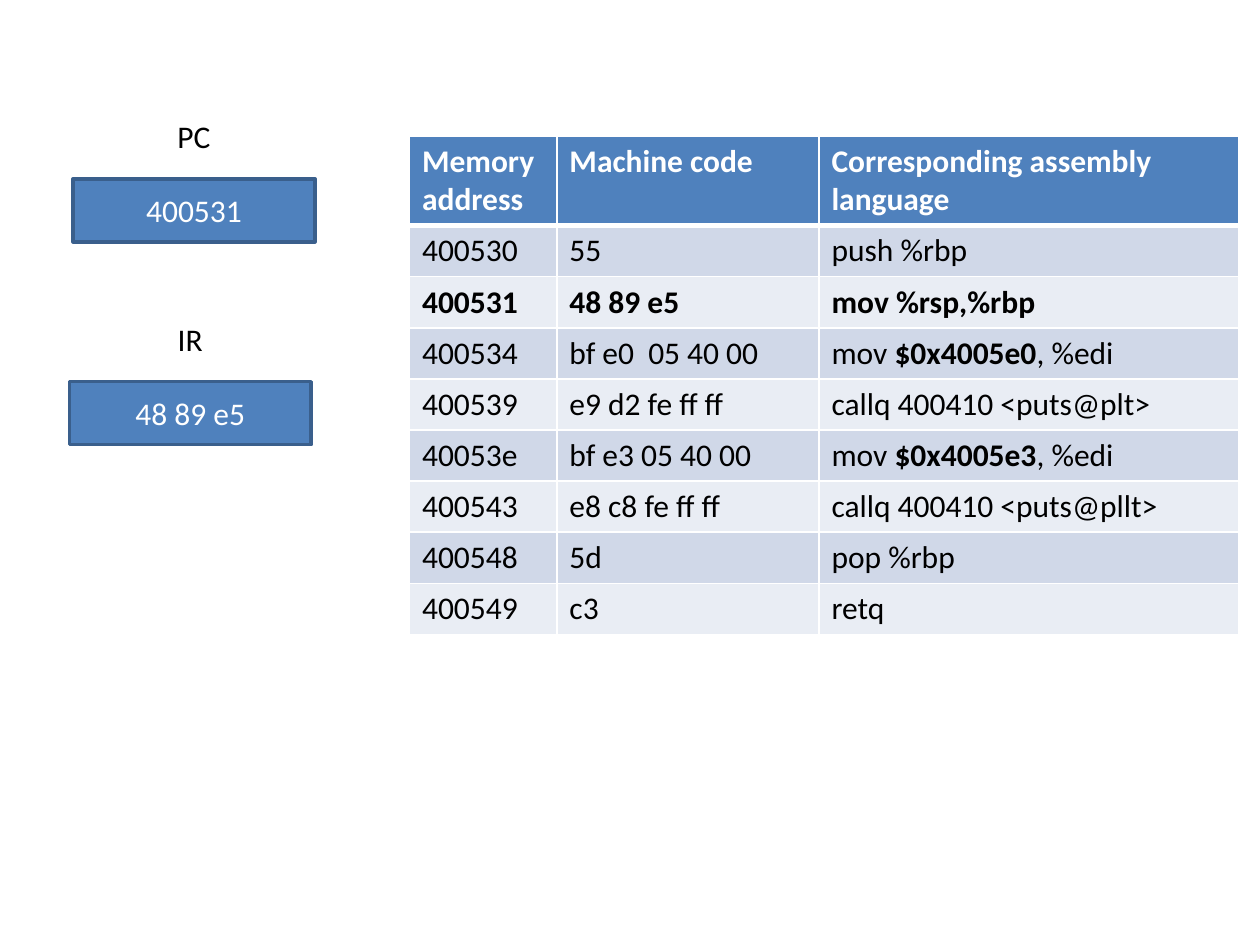
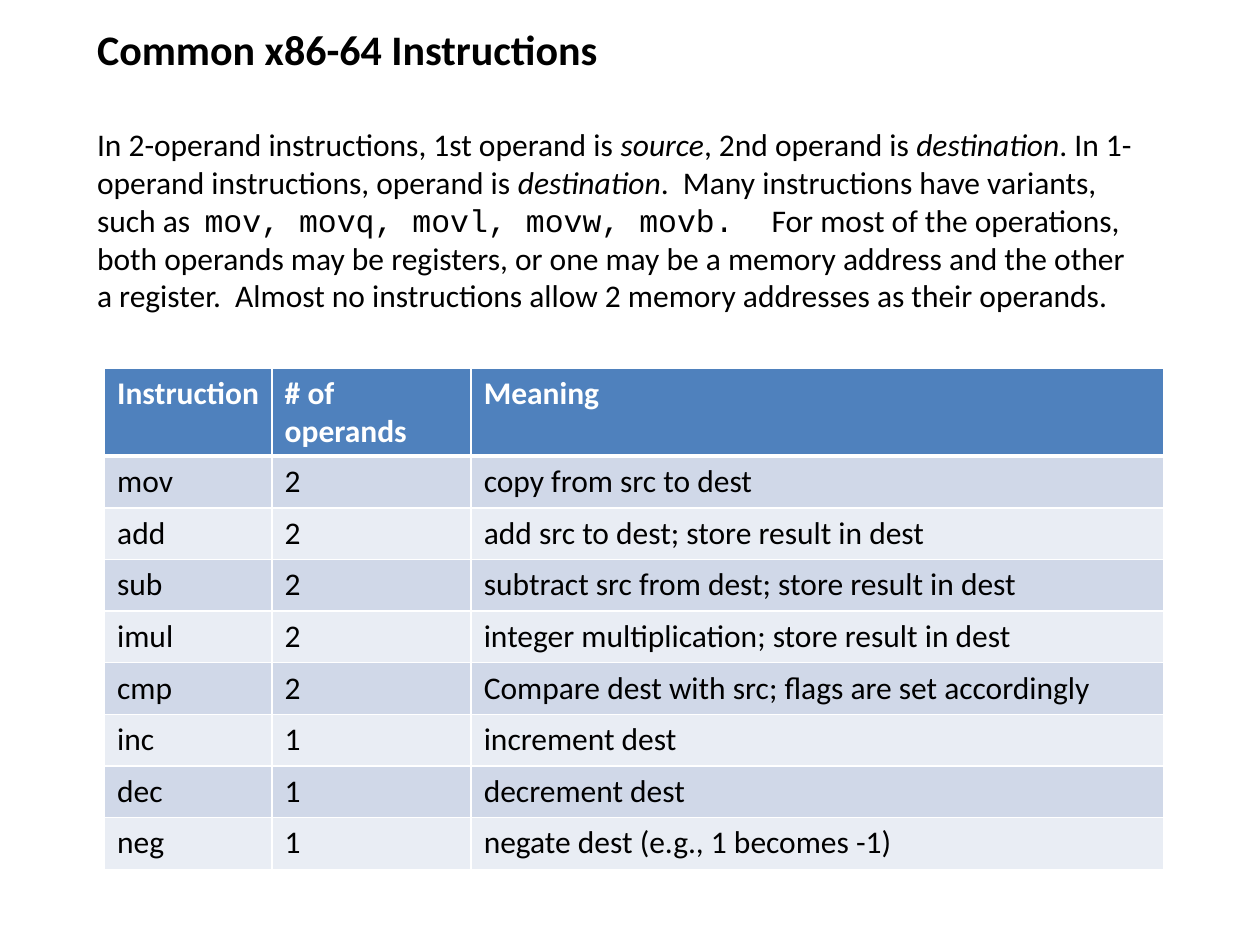
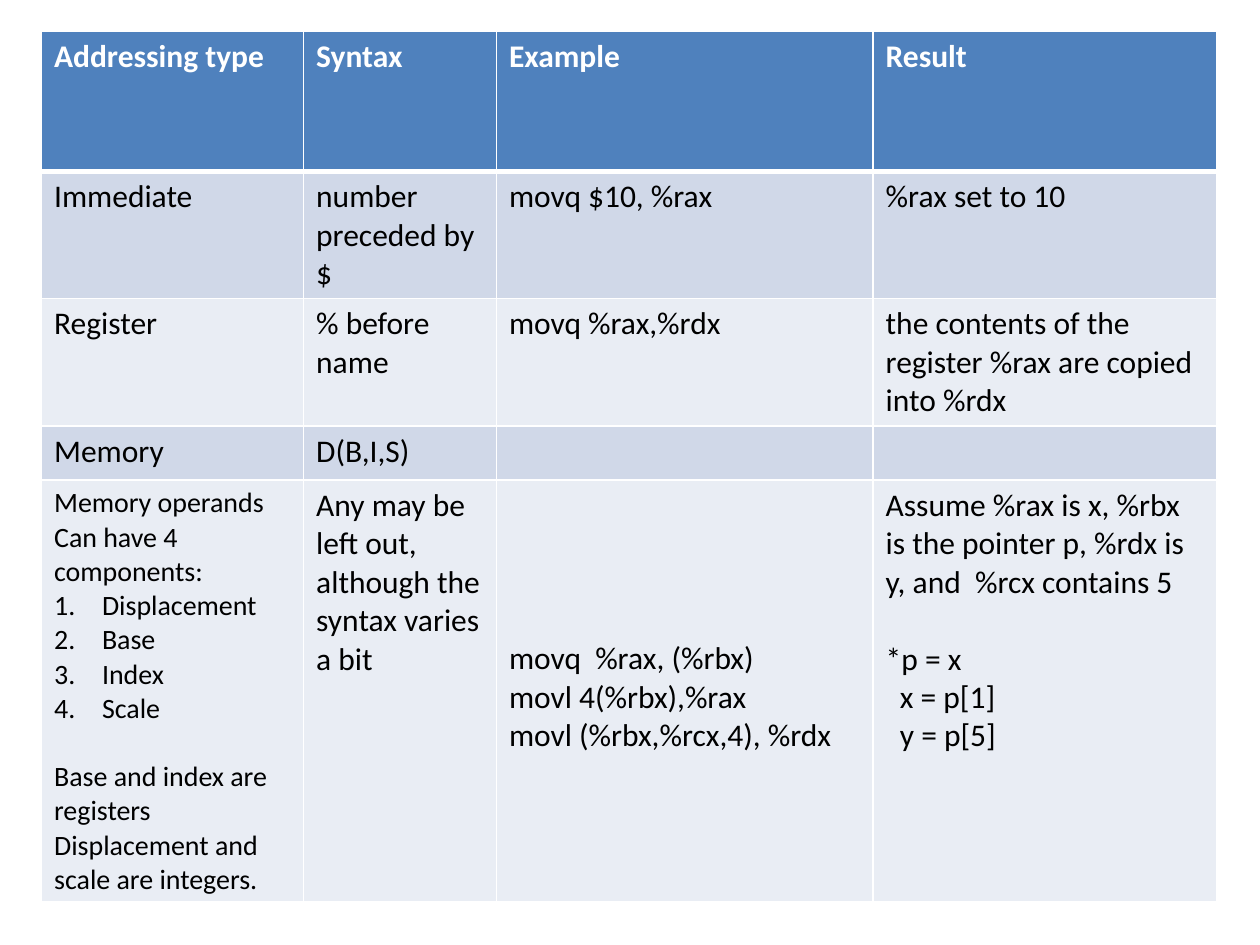
"""Build three slides on x86-64 instructions and addressing."""
from dataclasses import dataclass

from lxml import etree
from pptx import Presentation
from pptx import util as u
from pptx.dml.color import RGBColor
from pptx.enum import shapes, text
from pptx.oxml import ns


@dataclass(frozen=True)
class Theme:
    """Colours, fonts and type sizes shared by the slides."""
    accent: str = "4F81BD"
    outline: str = "3A5F8C"
    bands: tuple = ("D0D8E8", "E9EDF4")
    ink: str = "000000"
    paper: str = "FFFFFF"
    font: str = "Calibri"
    code_font: str = "Courier New"
    title: int = 24
    body: int = 18
    small: int = 16
    line_height: float = 1.22


@dataclass(frozen=True)
class Para:
    """A paragraph: (words, style) runs, lines of gap before it, numbering."""
    runs: tuple
    size: int = Theme.body
    gap_lines: int = 0
    numbered: bool = False


@dataclass(frozen=True)
class Cell:
    """Table cell content that starts some lines below the cell's top."""
    paragraphs: tuple
    skipped_lines: int = 0


THEME = Theme()
LAYOUT_TITLE_ONLY, LAYOUT_BLANK = 5, 6


def plain(words, **options):
    """Return a paragraph made of a single unstyled run."""
    return Para(((words, ""),), **options)


def bold(words):
    """Return a cell holding one bold paragraph."""
    return Cell((Para(((words, "bold"),)),))


def load(address):
    """Return the cell of a mov instruction with its address in bold."""
    return Cell((Para((("mov ", ""), (address, "bold"), (", %edi", ""))),))


def lines(*words, skipped_lines=0):
    """Return a cell with one plain paragraph for each string."""
    return Cell(tuple(plain(line) for line in words), skipped_lines)


def style_run(font, style):
    """Apply the named emphasis to a font."""
    if style == "bold":
        font.bold = True
    elif style == "italic":
        font.italic = True
    elif style == "code":
        font.name = THEME.code_font


def write(frame, paragraphs, colour, is_bold=False, align=text.PP_ALIGN.LEFT):
    """Fill a text frame with formatted paragraphs."""
    for index, content in enumerate(paragraphs):
        paragraph = frame.add_paragraph() if index else frame.paragraphs[0]
        paragraph.alignment = align
        if content.gap_lines:
            paragraph.space_before = u.Pt(content.gap_lines * content.size * THEME.line_height)
        if content.numbered:
            properties = paragraph._p.get_or_add_pPr()
            indent = u.Inches(0.38)
            properties.set("marL", str(indent))
            properties.set("indent", str(-indent))
            etree.SubElement(properties, ns.qn("a:buAutoNum"), type="arabicPeriod")
        font = paragraph.font
        font.name, font.size, font.bold = THEME.font, u.Pt(content.size), is_bold
        font.color.rgb = RGBColor.from_string(colour)
        for words, style in content.runs:
            run = paragraph.add_run()
            run.text = words
            style_run(font if len(content.runs) == 1 else run.font, style)


def border_cell(cell, widths):
    """Draw left, right, top and bottom borders of the given point widths."""
    properties = cell._tc.get_or_add_tcPr()
    for side, width in zip("LRTB", widths):
        line = etree.SubElement(properties, ns.qn(f"a:ln{side}"), w=str(u.Pt(width)))
        fill = etree.SubElement(line, ns.qn("a:solidFill"))
        etree.SubElement(fill, ns.qn("a:srgbClr"), val=THEME.paper)


def banded_table(slide, left, top, column_widths, row_heights, rows):
    """Place a table with a heading row and alternating bands."""
    table = slide.shapes.add_table(
        len(rows), len(column_widths), u.Inches(left), u.Inches(top),
        u.Inches(sum(column_widths)), u.Inches(sum(row_heights))).table
    for column, width in zip(table.columns, column_widths):
        column.width = u.Inches(width)
    for index, (row, height, contents) in enumerate(zip(table.rows, row_heights, rows)):
        row.height = u.Inches(height)
        heading = index == 0
        fill = THEME.accent if heading else THEME.bands[(index - 1) % 2]
        widths = (1, 1, 3 if index == 1 else 1, 3 if heading else 1)
        for cell, content in zip(row.cells, contents):
            border_cell(cell, widths)
            cell.fill.solid()
            cell.fill.fore_color.rgb = RGBColor.from_string(fill)
            if isinstance(content, str):
                content = lines(content)
            skipped = u.Pt(content.skipped_lines * THEME.body * THEME.line_height)
            cell.margin_top = u.Inches(0.05) + skipped
            write(cell.text_frame, content.paragraphs,
                  THEME.paper if heading else THEME.ink, heading)


def register(slide, left, top, name, value):
    """Place a register box with its name centred above it."""
    width, name_width = 1.92, 0.47
    label = slide.shapes.add_textbox(
        u.Inches(left + (width - name_width) / 2), u.Inches(top - 0.54),
        u.Inches(name_width), u.Inches(0.4)).text_frame
    label.word_wrap = False
    label.auto_size = text.MSO_AUTO_SIZE.SHAPE_TO_FIT_TEXT
    write(label, [plain(name)], THEME.ink, align=text.PP_ALIGN.CENTER)

    box = slide.shapes.add_shape(
        shapes.MSO_SHAPE.RECTANGLE, u.Inches(left), u.Inches(top),
        u.Inches(width), u.Inches(0.5))
    box.shadow.inherit = False
    box.fill.solid()
    box.fill.fore_color.rgb = RGBColor.from_string(THEME.accent)
    box.line.color.rgb = RGBColor.from_string(THEME.outline)
    box.line.width = u.Pt(2)
    box.text_frame.vertical_anchor = text.MSO_ANCHOR.MIDDLE
    write(box.text_frame, [plain(value)], THEME.paper, align=text.PP_ALIGN.CENTER)


def introduction(slide, left, top, width, height, paragraphs):
    """Place the heading and its explanation in the title placeholder."""
    title = slide.shapes.title
    title.left, title.top = u.Inches(left), u.Inches(top)
    title.width, title.height = u.Inches(width), u.Inches(height)
    frame = title.text_frame
    frame.word_wrap = True
    frame.auto_size = text.MSO_AUTO_SIZE.SHAPE_TO_FIT_TEXT
    frame.vertical_anchor = text.MSO_ANCHOR.MIDDLE
    write(frame, paragraphs, THEME.ink)


def execution_slide(deck):
    """Show the registers beside the program in memory."""
    slide = deck.slides.add_slide(deck.slide_layouts[LAYOUT_BLANK])
    program = [
        ("Memory address", "Machine code", lines("Corresponding assembly", "language")),
        ("400530", "55", "push %rbp"),
        (bold("400531"), bold("48 89 e5"), bold("mov %rsp,%rbp")),
        ("400534", "bf e0  05 40 00", load("$0x4005e0")),
        ("400539", "e9 d2 fe ff ff", "callq 400410 <puts@plt>"),
        ("40053e", "bf e3 05 40 00", load("$0x4005e3")),
        ("400543", "e8 c8 fe ff ff", "callq 400410 <puts@pllt>"),
        ("400548", "5d", "pop %rbp"),
        ("400549", "c3", "retq"),
    ]
    banded_table(slide, 3.25, 1.08, (1.17, 2.08, 3.33), [0.7] + [0.4] * 8, program)
    register(slide, 0.58, 1.42, "PC", "400531")
    register(slide, 0.55, 3.03, "IR", "48 89 e5")


def instructions_slide(deck):
    """List the common instructions under an explanation."""
    slide = deck.slides.add_slide(deck.slide_layouts[LAYOUT_TITLE_ONLY])
    explanation = (
        ("In 2-operand instructions, 1st operand is ", ""),
        ("source", "italic"),
        (", 2nd operand is ", ""),
        ("destination", "italic"),
        (". In 1-operand instructions, operand is ", ""),
        ("destination", "italic"),
        (".  Many instructions have variants, such as  ", ""),
        ("mov, movq, movl, movw, movb.  ", "code"),
        ("For most of the operations, both operands may be registers, or one may be "
         "a memory address and the other a register.  Almost no instructions allow "
         "2 memory addresses as their operands.", ""),
    )
    heading = Para((("Common x86-64 Instructions", "bold"),), size=THEME.title)
    introduction(slide, 0.67, 0.13, 8.42, 2.42,
                 [heading, Para(explanation, gap_lines=4 / 3)])
    instructions = [
        ("Instruction", "# of operands", "Meaning"),
        ("mov", "2", "copy from src to dest"),
        ("add", "2", "add src to dest; store result in dest"),
        ("sub", "2", "subtract src from dest; store result in dest"),
        ("imul", "2", "integer multiplication; store result in dest"),
        ("cmp", "2", "Compare dest with src; flags are set accordingly"),
        ("inc", "1", "increment dest"),
        ("dec", "1", "decrement dest"),
        ("neg", "1", "negate dest (e.g., 1 becomes -1)"),
    ]
    banded_table(slide, 0.83, 2.92, (1.33, 1.58, 5.5), [0.7] + [0.41] * 8, instructions)


def addressing_slide(deck):
    """Compare the addressing types."""
    slide = deck.slides.add_slide(deck.slide_layouts[LAYOUT_BLANK])
    small = THEME.small
    components = [plain(name, size=small, numbered=True)
                  for name in ("Displacement", "Base", "Index", "Scale")]
    operands = Cell((
        plain("Memory operands", size=small),
        plain("Can have 4 components:", size=small),
        *components,
        plain("Base and index are  registers", size=small, gap_lines=1),
        plain("Displacement and scale are integers.", size=small),
    ))
    examples = lines("movq  %rax, (%rbx)", "movl 4(%rbx),%rax",
                     "movl (%rbx,%rcx,4), %rdx", skipped_lines=4)
    results = Cell((
        plain("Assume %rax is x, %rbx is the pointer p, %rdx is y, and  %rcx contains 5"),
        plain("*p = x", gap_lines=1),
        plain("  x = p[1]"),
        plain("  y = p[5]"),
    ))
    addressing = [
        ("Addressing type", "Syntax", "Example", "Result"),
        ("Immediate", "number preceded by $", "movq $10, %rax", "%rax set to 10"),
        ("Register", "% before name", "movq %rax,%rdx",
         "the contents of the register %rax are copied into %rdx"),
        ("Memory", "D(B,I,S)", Cell(()), Cell(())),
        (operands, "Any may be left out, although the syntax varies a bit",
         examples, results),
    ]
    banded_table(slide, 0.33, 0.25, (2.08, 1.53, 2.99, 2.73),
                 (1.11, 1.01, 1.01, 0.43, 3.35), addressing)


def main():
    """Build and save the deck."""
    deck = Presentation()
    deck.slide_width, deck.slide_height = u.Inches(10), u.Inches(7.5)
    execution_slide(deck)
    instructions_slide(deck)
    addressing_slide(deck)
    deck.save("out.pptx")


if __name__ == "__main__":
    main()
